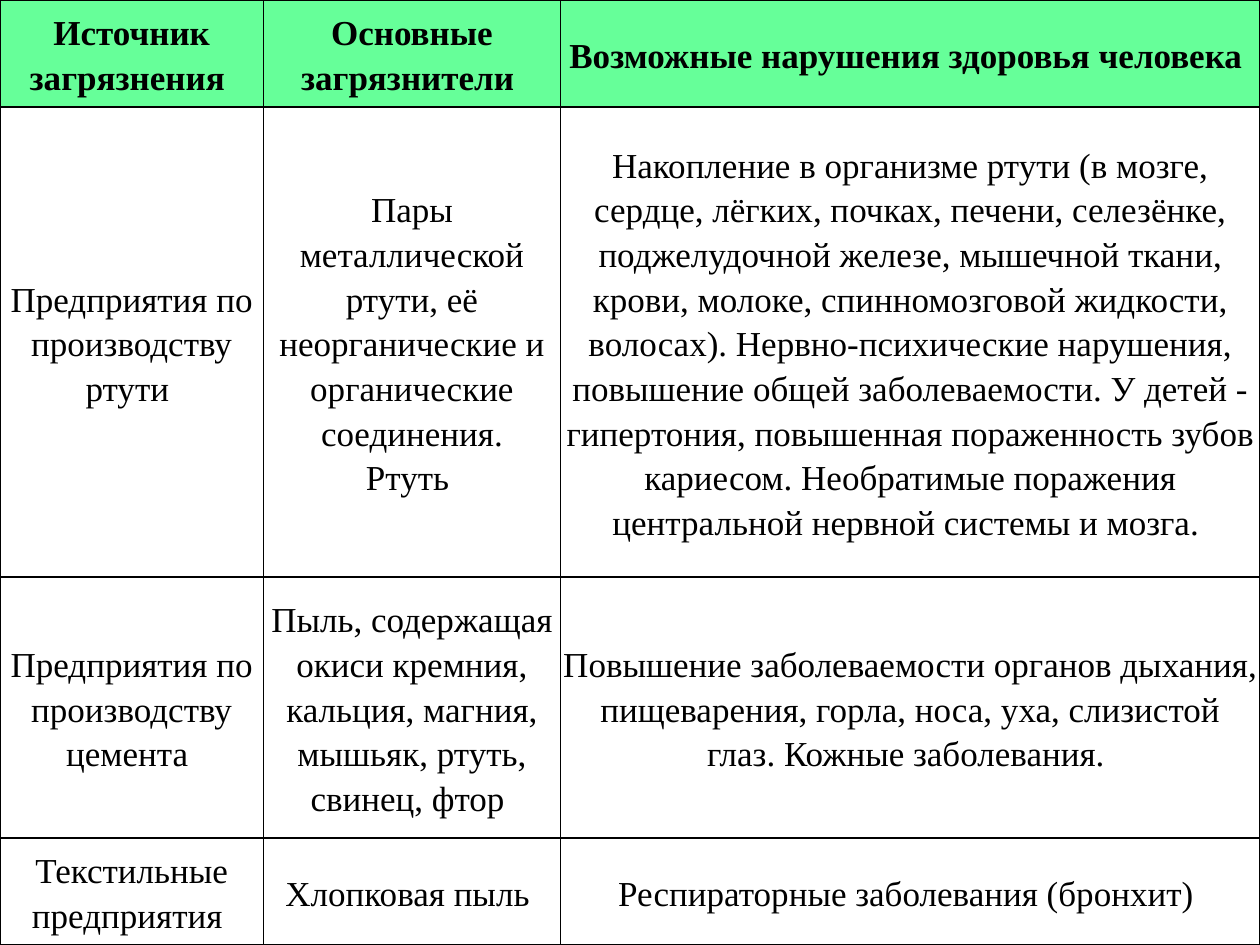
from lxml import etree
from pptx import Presentation
from pptx.dml.color import RGBColor
from pptx.enum.text import MSO_ANCHOR, PP_ALIGN
from pptx.oxml.ns import qn
from pptx.util import Inches, Pt

MIDDLE = MSO_ANCHOR.MIDDLE
CENTER = PP_ALIGN.CENTER

THEME = {
    "font": "Times New Roman",
    "size": Pt(20),
    "line_spacing": 1.15,
    "text": RGBColor.from_string("000000"),
    "header_fill": RGBColor.from_string("66FF99"),
    "body_fill": RGBColor.from_string("FFFFFF"),
    "border": "000000",
    "border_width": Pt(1),
    "inset": Inches(0.01),
}

# Shares of the slide's width and height
COLUMN_SHARES = [0.209, 0.236, 0.555]
ROW_SHARES = [0.1133, 0.4973, 0.2761, 0.1133]

# The space closing most entries is part of the centred line
ROWS = [
    [
        "Источник загрязнения ",
        "Основные загрязнители ",
        "Возможные нарушения здоровья человека ",
    ],
    [
        "Предприятия по производству ртути ",
        "Пары металлической ртути, её неорганические и органические соединения.\nРтуть ",
        "Накопление в организме ртути (в мозге, сердце, лёгких, почках, печени, "
        "селезёнке, поджелудочной железе, мышечной ткани, крови, молоке, "
        "спинномозговой жидкости, волосах). Нервно-психические нарушения, "
        "повышение общей заболеваемости. У детей - гипертония, повышенная "
        "пораженность зубов кариесом. Необратимые поражения центральной "
        "нервной системы и мозга. ",
    ],
    [
        "Предприятия по производству цемента ",
        "Пыль, содержащая окиси кремния, кальция, магния, мышьяк, ртуть, свинец, фтор ",
        "Повышение заболеваемости органов дыхания, пищеварения, горла, носа, уха, "
        "слизистой глаз. Кожные заболевания. ",
    ],
    [
        "Текстильные предприятия ",
        "Хлопковая пыль ",
        "Респираторные заболевания (бронхит) ",
    ],
]


def add_borders(cell):
    properties = cell._tc.get_or_add_tcPr()
    for side in ("a:lnL", "a:lnR", "a:lnT", "a:lnB"):
        line = etree.SubElement(properties, qn(side), w=str(THEME["border_width"]))
        fill = etree.SubElement(line, qn("a:solidFill"))
        etree.SubElement(fill, qn("a:srgbClr"), val=THEME["border"])


# Page
deck = Presentation()
deck.slide_width = Inches(10)
deck.slide_height = Inches(7.5)
blank_layout = deck.slide_layouts[6]
page = deck.slides.add_slide(blank_layout)

# Table grid covering the whole page
table = page.shapes.add_table(
    len(ROWS), len(COLUMN_SHARES), 0, 0, deck.slide_width, deck.slide_height
).table
table.horz_banding = False
for column, share in zip(table.columns, COLUMN_SHARES):
    column.width = int(deck.slide_width * share)
for row, share in zip(table.rows, ROW_SHARES):
    row.height = int(deck.slide_height * share)

# Cells: header row first, then one row per pollution source
for row_index, entries in enumerate(ROWS):
    is_header = row_index == 0
    for column_index, entry in enumerate(entries):
        cell = table.cell(row_index, column_index)
        cell.margin_left = cell.margin_right = THEME["inset"]
        cell.margin_top = cell.margin_bottom = THEME["inset"]
        cell.vertical_anchor = MIDDLE
        add_borders(cell)
        cell.fill.solid()
        cell.fill.fore_color.rgb = THEME["header_fill" if is_header else "body_fill"]

        cell.text_frame.text = entry
        for para in cell.text_frame.paragraphs:
            para.alignment = CENTER
            para.line_spacing = THEME["line_spacing"]
            for span in para.runs:
                span.font.name = THEME["font"]
                span.font.size = THEME["size"]
                span.font.bold = is_header
                span.font.color.rgb = THEME["text"]

deck.save("out.pptx")
